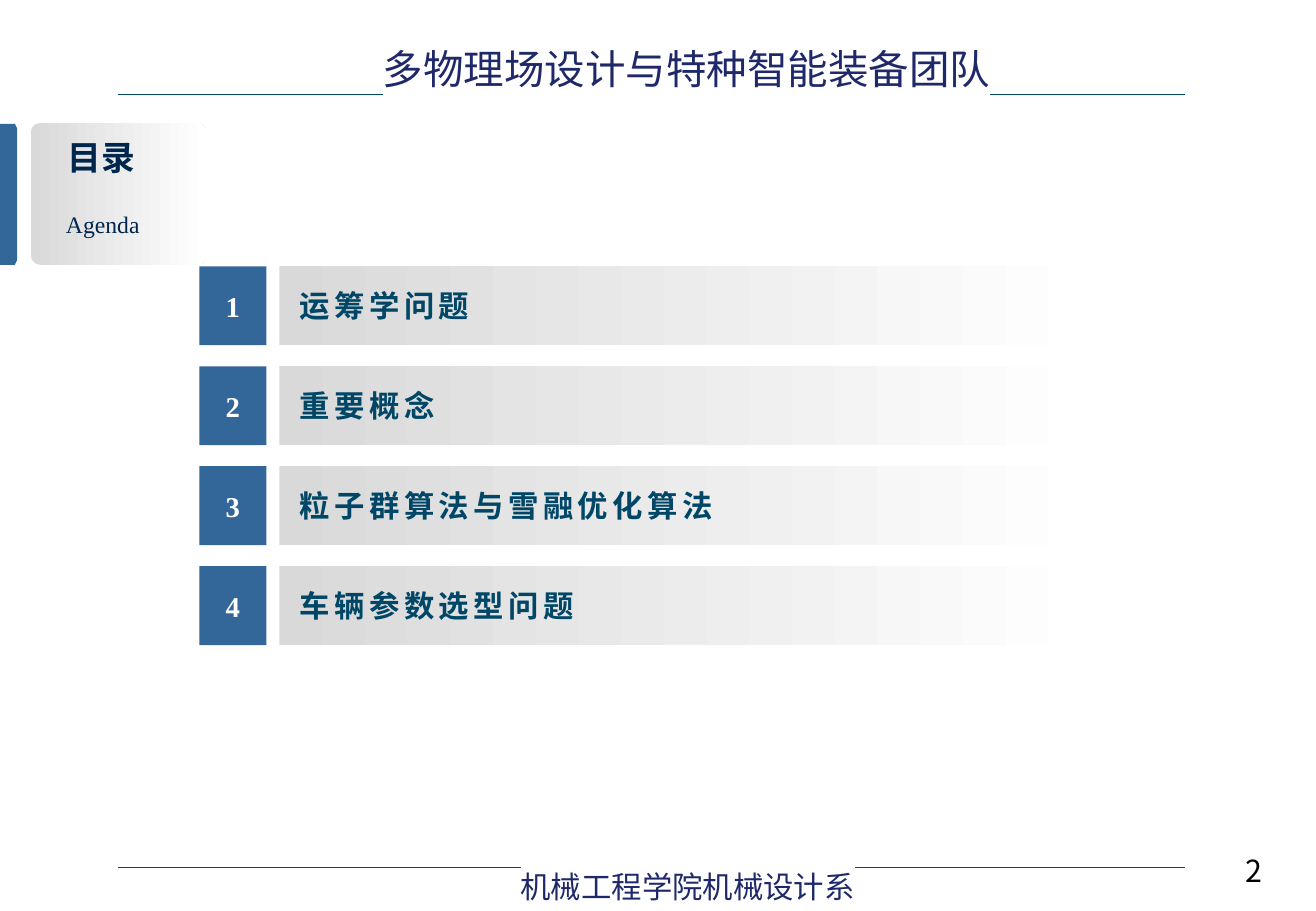
from lxml import etree
from pptx import Presentation, util as u
from pptx.dml.color import RGBColor
from pptx.enum import shapes, text
from pptx.oxml import ns

NAVY = RGBColor(0x00, 0x26, 0x4D)
BLUE = RGBColor(0x33, 0x66, 0x99)
TEAL = RGBColor(0x00, 0x46, 0x66)
RULE = RGBColor(0x00, 0x4A, 0x63)
INDIGO = RGBColor(0x1F, 0x29, 0x6A)
GREY = RGBColor(0xD9, 0xD9, 0xD9)
WHITE = RGBColor(0xFF, 0xFF, 0xFF)
BLACK = RGBColor(0, 0, 0)
SERIF, SANS = "Times New Roman", "Noto Sans CJK SC"
LEFT, MID, RIGHT = text.PP_ALIGN.LEFT, text.PP_ALIGN.CENTER, text.PP_ALIGN.RIGHT

TOPICS = ["运筹学问题", "重要概念", "粒子群算法与雪融优化算法", "车辆参数选型问题"]
TITLE = ("目录", (0.64, 2.74, 2.97, 1.12))
LABELS = [
    ("Agenda", (0.56, 4.27, 3.18, 0.86), MID, SERIF, 14, NAVY, False),
    ("多物理场设计与特种智能装备团队", (7.75, 0.79, 13.21, 1.27), MID, SANS, 24, INDIGO, True),
    ("机械工程学院机械设计系", (10.59, 18.03, 7.57, 1.02), MID, SANS, 18, INDIGO, True),
]
PAGE = ("2", (24.36, 17.83, 2.03, 0.51))
RULES = [18.14, 1.98]
RULE_X = (2.46, 24.77)
TAB = [(0, 2.59), (0.31, 2.59), (0.36, 2.69), (0.36, 5.44), (0.31, 5.54), (0, 5.54)]
CARD = (0.64, 2.57, 3.68, 2.97)
TOP, PITCH, HIGH = 5.57, 2.09, 1.65
NUM_X, NUM_W, BAR_X, BAR_W = 4.17, 1.4, 5.84, 16.97

deck = Presentation()
deck.slide_width, deck.slide_height = u.Cm(27.51), u.Cm(19.05)
slide = deck.slides.add_slide(deck.slide_layouts[5])
tree = slide.shapes


def cm(box):
    return [u.Cm(v) for v in box]


def write(shape, words, align, face, size, color, bold=False, mark=False,
          gap=0, inset=None, anchor=text.MSO_ANCHOR.TOP, wrap=True):
    frame = shape.text_frame
    form = {"word_wrap": wrap, "vertical_anchor": anchor,
            "auto_size": text.MSO_AUTO_SIZE.NONE}
    if inset is not None:
        form.update(margin_left=u.Cm(inset), margin_right=0, margin_top=0, margin_bottom=0)
    for key, val in form.items():
        setattr(frame, key, val)
    para = frame.paragraphs[0]
    para.alignment = align
    run = para.add_run()
    run.text = words
    font = run.font
    for key, val in {"size": u.Pt(size), "bold": bold, "name": face}.items():
        setattr(font, key, val)
    font.color.rgb = color
    props = run._r.get_or_add_rPr()
    latin = props.find(ns.qn("a:latin"))
    east = etree.Element(ns.qn("a:ea"), typeface=SANS)
    latin.addnext(east)
    if gap:
        props.set("spc", str(gap))
    if mark:
        light = etree.Element(ns.qn("a:highlight"))
        etree.SubElement(light, ns.qn("a:srgbClr"), val=str(WHITE))
        latin.addprevious(light)


def paint(shape, color=None):
    shape.shadow.inherit = False
    shape.line.fill.background()
    if color is not None:
        shape.fill.solid()
        shape.fill.fore_color.rgb = color
        return
    shape.fill.gradient()
    shape.fill.gradient_angle = 0
    for stop, tone, pos in zip(shape.fill.gradient_stops, (GREY, WHITE), (0, 1)):
        stop.color.rgb = tone
        stop.position = pos


def block(box, color=None, kind=shapes.MSO_SHAPE.RECTANGLE):
    shape = tree.add_shape(kind, *cm(box))
    paint(shape, color)
    return shape


for y in RULES:
    line = tree.add_connector(shapes.MSO_CONNECTOR.STRAIGHT,
                              *cm((RULE_X[0], y, RULE_X[1], y)))
    line.line.color.rgb = RULE
    line.line.width = u.Pt(0.75)
    etree.SubElement(line._element.spPr, ns.qn("a:effectLst"))

dots = [cm(dot) for dot in TAB]
path = tree.build_freeform(*dots[0])
path.add_line_segments(dots[1:], close=True)
paint(path.convert_to_shape(), BLUE)

card = block(CARD, kind=shapes.MSO_SHAPE.ROUNDED_RECTANGLE)
card.adjustments[0] = 0.07

title = tree.title
tree._spTree.append(title._element)
title.left, title.top, title.width, title.height = cm(TITLE[1])
write(title, TITLE[0], MID, SERIF, 20, NAVY, bold=True)

for i, topic in enumerate(TOPICS):
    y = TOP + i * PITCH
    num = block((NUM_X, y, NUM_W, HIGH), BLUE)
    write(num, str(i + 1), MID, SERIF, 17, WHITE, bold=True, inset=0,
          anchor=text.MSO_ANCHOR.MIDDLE)
    bar = block((BAR_X, y, BAR_W, HIGH))
    write(bar, topic, LEFT, SERIF, 18, TEAL, bold=True, gap=260, inset=0.43,
          anchor=text.MSO_ANCHOR.MIDDLE)

for words, box, align, face, size, color, mark in LABELS:
    write(tree.add_textbox(*cm(box)), words, align, face, size, color, mark=mark)

write(tree.add_textbox(*cm(PAGE[1])), PAGE[0], RIGHT, SANS, 18, BLACK, inset=0)

deck.save("out.pptx")
